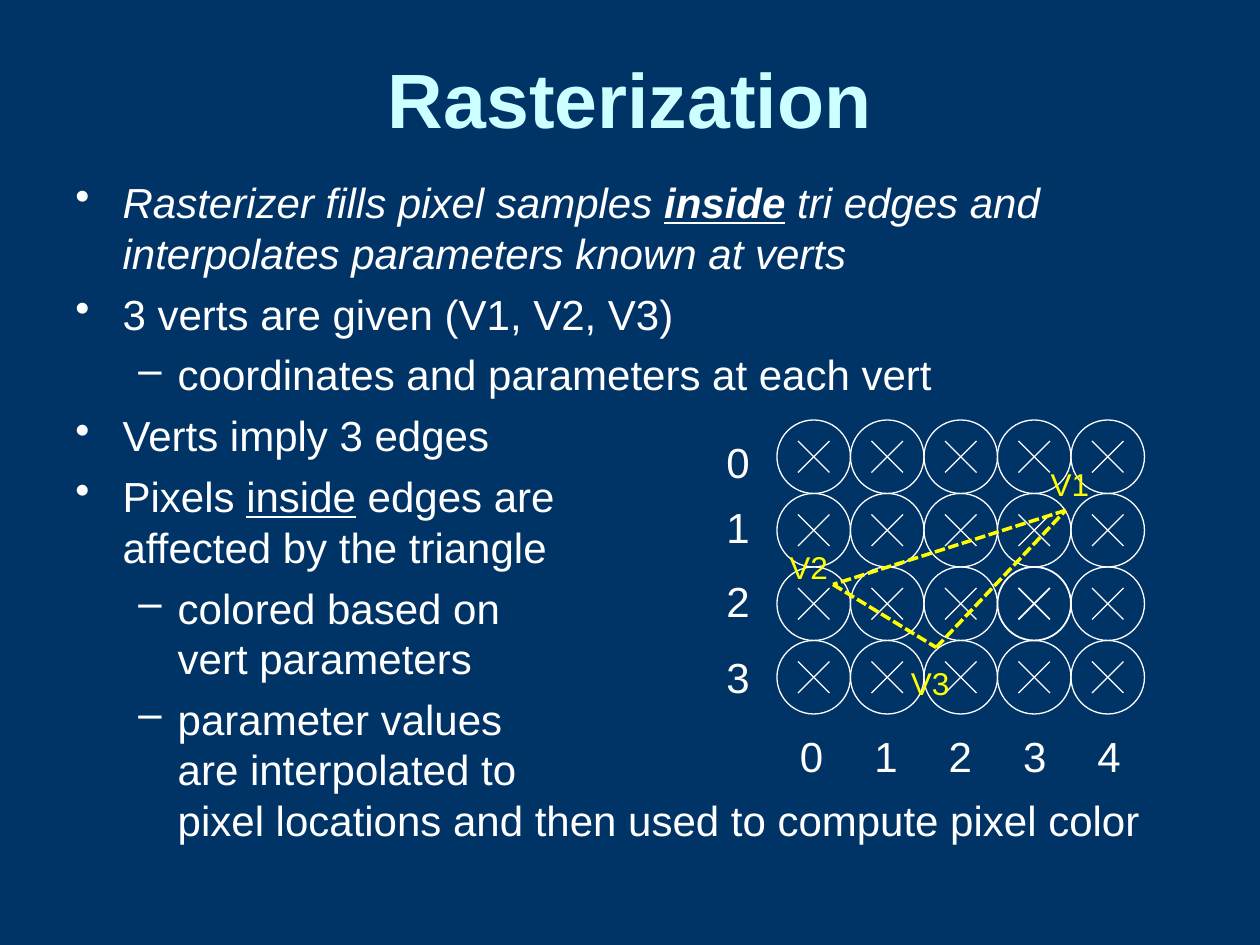
import pptx
import pptx.util
import pptx.dml.color
import pptx.enum.dml
import pptx.enum.shapes
import pptx.enum.text
import pptx.oxml
import pptx.oxml.ns

Pt = pptx.util.Pt
RGBColor = pptx.dml.color.RGBColor
NAVY = RGBColor(0x00, 0x33, 0x66)
PALE = RGBColor(0xCC, 0xFF, 0xFF)
WHITE = RGBColor(0xFF, 0xFF, 0xFF)
YELLOW = RGBColor(0xFF, 0xFF, 0x00)
NS = pptx.oxml.ns.nsdecls("a")


def write(par, text, size=24, color=WHITE, bold=False, italic=False, under=False):
    for num, line in enumerate(text.split("\n")):
        if num:
            par.add_line_break()
        run = par.add_run()
        run.text = line
        font = run.font
        font.name, font.size, font.color.rgb = "Arial", Pt(size), color
        font.bold, font.italic, font.underline = bold, italic, under


def draw(home, start, end, color=WHITE, width=0.75, dash=None):
    line = home.add_connector(pptx.enum.shapes.MSO_CONNECTOR.STRAIGHT,
                              *[Pt(v) for v in (*start, *end)])
    line.line.color.rgb = color
    line.line.width = Pt(width)
    if dash:
        line.line.dash_style = dash
    line._element.spPr.append(pptx.oxml.parse_xml(f"<a:effectLst {NS}/>"))


deck = pptx.Presentation()
deck.slide_width, deck.slide_height = Pt(720), Pt(540)
slide = deck.slides.add_slide(deck.slide_layouts[6])
slide.background.fill.solid()
slide.background.fill.fore_color.rgb = NAVY

# Title
title = slide.shapes.add_textbox(Pt(36), Pt(21.6), Pt(648), Pt(68.4)).text_frame
title.word_wrap = True
title.vertical_anchor = pptx.enum.text.MSO_ANCHOR.MIDDLE
title.paragraphs[0].alignment = pptx.enum.text.PP_ALIGN.CENTER
write(title.paragraphs[0], "Rasterization", size=44, color=PALE, bold=True)

# Bullets: level, then runs of text and format
items = [
    (0, [("Rasterizer fills pixel samples ", {"italic": True}),
         ("inside", {"italic": True, "bold": True, "under": True}),
         (" ", {"italic": True, "bold": True}),
         ("tri edges and interpolates parameters known at verts", {"italic": True})]),
    (0, [("3 verts are given (V1, V2, V3)", {})]),
    (1, [("coordinates and parameters at each vert", {})]),
    (0, [("Verts imply 3 edges", {})]),
    (0, [("Pixels ", {}), ("inside", {"under": True}),
         (" edges are \naffected by the triangle", {})]),
    (1, [("colored based on\nvert parameters", {})]),
    (1, [("parameter values\nare interpolated to \n"
          "pixel locations and then used to compute pixel color", {})]),
]
marks = [("•", 27, -27), ("–", 58.5, -22.5)]
body = slide.shapes.add_textbox(Pt(36), Pt(96), Pt(648), Pt(426)).text_frame
body.word_wrap = True
body.margin_top = Pt(5)
for num, (level, runs) in enumerate(items):
    par = body.add_paragraph() if num else body.paragraphs[0]
    mark, left, hang = marks[level]
    par.level = level
    par.line_spacing = Pt(28.8)
    par.space_before = Pt(6 if num else 0)
    props = par._p.get_or_add_pPr()
    props.set("marL", str(Pt(left)))
    props.set("indent", str(Pt(hang)))
    for xml in (f'<a:buClr {NS}><a:srgbClr val="{WHITE}"/></a:buClr>',
                f'<a:buChar {NS} char="{mark}"/>'):
        props.append(pptx.oxml.parse_xml(xml))
    for text, form in runs:
        write(par, text, **form)

# Pixel grid: circles with crosses, one drawn heavier
grid = slide.shapes.add_group_shape().shapes
CELL, INSET = 42, 12
for row in range(4):
    for col in range(5):
        x, y = 444 + col * CELL, 240 + row * CELL
        width = 1 if (row, col) == (2, 3) else 0.75
        ring = grid.add_shape(pptx.enum.shapes.MSO_SHAPE.OVAL,
                              Pt(x), Pt(y), Pt(CELL), Pt(CELL))
        ring.shadow.inherit = False
        ring.fill.background()
        ring.line.color.rgb = WHITE
        ring.line.width = Pt(width)
        near, far = INSET, CELL - INSET
        draw(grid, (x + near, y + far), (x + far, y + near), width=width)
        draw(grid, (x + near, y + near), (x + far, y + far), width=width)

# Triangle edges
verts = [(609, 291.6), (476, 334), (535, 370)]
for num in range(3):
    draw(grid, verts[num - 1], verts[num], color=YELLOW, width=2,
         dash=pptx.enum.dml.MSO_LINE.SQUARE_DOT)

# Row, column and vertex labels
labels = [(str(row), 408, y, 27, 36, 24, WHITE)
          for row, y in enumerate((246, 283, 325.5, 368.6))]
labels += [(str(col), 450 + 42.5 * col, 414, 27, 36, 24, WHITE) for col in range(5)]
labels += [(name, x, y, 42.5, 29, 18, YELLOW) for name, x, y in
           (("V1", 593.3, 262), ("V2", 444, 309.6), ("V3", 513.4, 375.8))]
for text, x, y, wide, high, size, color in labels:
    frame = grid.add_textbox(Pt(x), Pt(y), Pt(wide), Pt(high)).text_frame
    frame.word_wrap = color == YELLOW
    write(frame.paragraphs[0], text, size=size, color=color)

deck.save("out.pptx")
